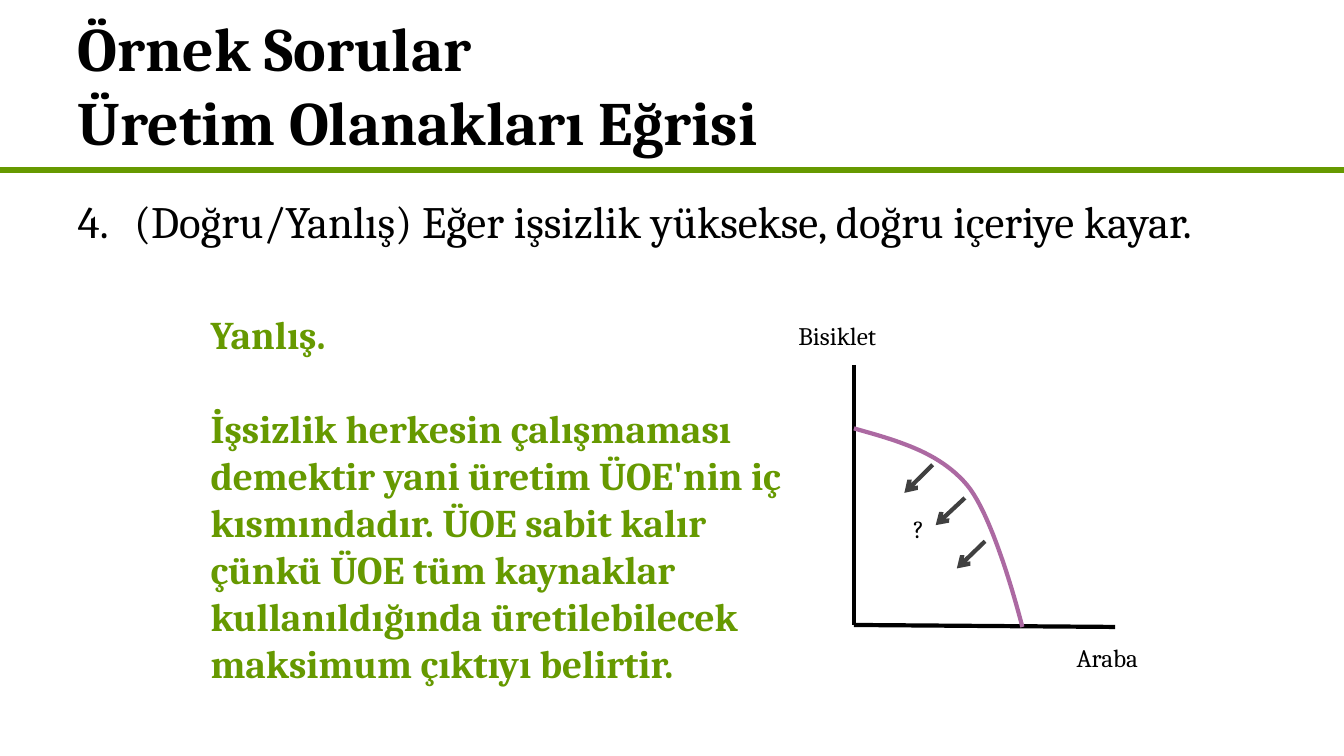
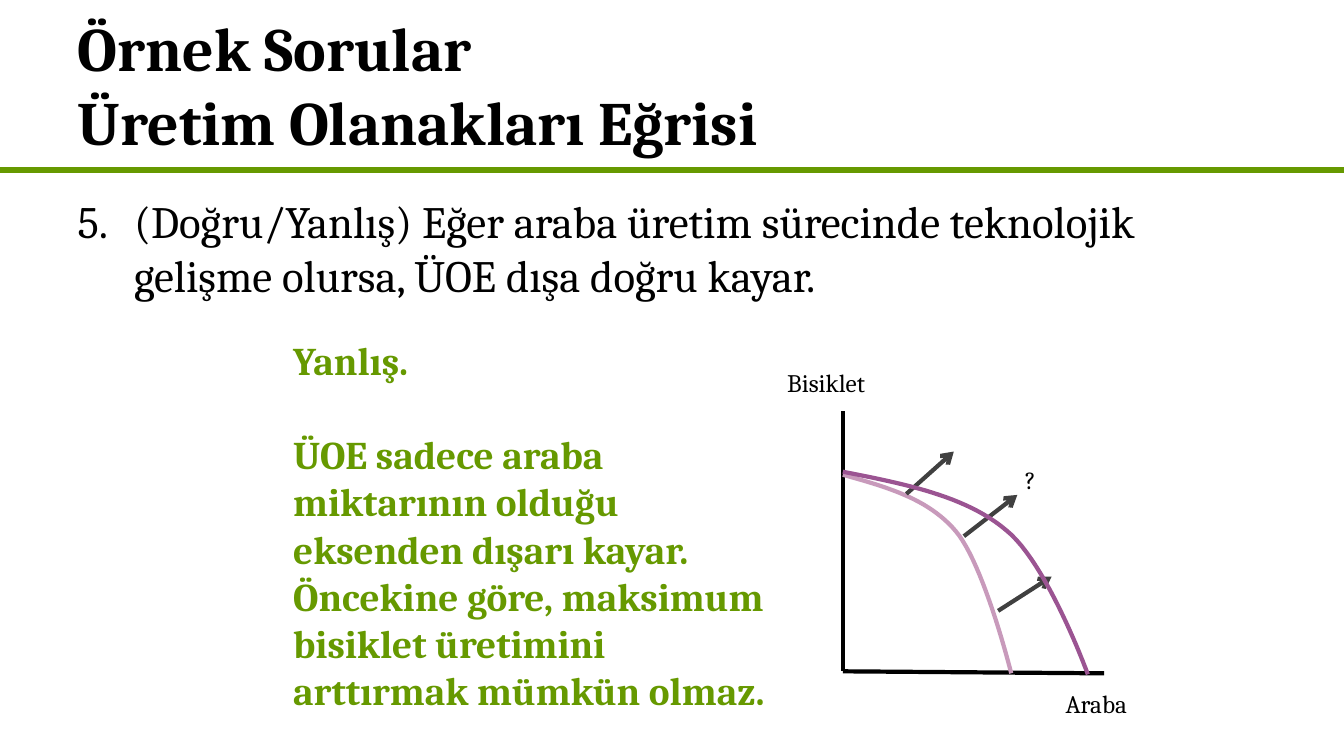
from lxml.etree import SubElement
from pptx import Presentation
from pptx.dml.color import RGBColor
from pptx.enum.shapes import MSO_CONNECTOR
from pptx.enum.text import MSO_ANCHOR, MSO_AUTO_SIZE, PP_ALIGN
from pptx.oxml.ns import qn
from pptx.util import Inches, Pt

# Shared look
FONT = "Cambria"
BLACK, GREEN, GRAY = "000000", "669900", "404040"
PLUM, PALE, DARK = "AC69A2", "C89ABB", "9B5492"
TITLE = "Örnek Sorular\nÜretim Olanakları Eğrisi"
FRAMES = {0: (0.67, 0, 12, 1.67), 1: (0.67, 1.87, 12, 5.35)}

# Graph parts, measured in inches from the graph's origin
AXES = [((0, -2.58), (0, 0)), ((2.59, 0.02), (0, 0))]
NAMES = [("Bisiklet", -0.65, -3.07, 1.4), ("Araba", 2.11, 0.12, 1.05)]
INNER = [(0, -1.95), (0.42, -1.83), (0.84, -1.72), (1.12, -1.39),
         (1.4, -1.06), (1.67, 0.02), (1.67, 0.02)]
OUTER = [(0, -1.98), (0.61, -1.86), (1.22, -1.74), (1.62, -1.4),
         (2.03, -1.07), (2.43, 0.03), (2.43, 0.03)]

SLIDES = [
    dict(
        num=4,
        ask="(Doğru/Yanlış) Eğer işsizlik yüksekse, doğru içeriye kayar.",
        reply=["Yanlış.",
               "İşsizlik herkesin çalışmaması demektir yani üretim ÜOE'nin iç "
               "kısmındadır. ÜOE sabit kalır çünkü ÜOE tüm kaynaklar "
               "kullanıldığında üretilebilecek maksimum çıktıyı belirtir."],
        box=(1.99, 3.03, 5.92, 3.87),
        origin=(8.47, 6.2),
        under=[(INNER, PLUM)],
        arrows=[((1.1, -1.26), (0.81, -0.99)),
                ((1.3, -0.83), (1.02, -0.56)),
                ((0.78, -1.59), (0.5, -1.31))],
        over=[],
        mark=(0.49, -1.16),
    ),
    dict(
        num=5,
        ask="(Doğru/Yanlış) Eğer araba üretim sürecinde teknolojik gelişme "
            "olursa, ÜOE dışa doğru kayar.",
        reply=["Yanlış.",
               "ÜOE sadece araba miktarının olduğu eksenden dışarı kayar. "
               "Öncekine göre, maksimum bisiklet üretimini arttırmak mümkün "
               "olmaz."],
        box=(2.81, 3.29, 5.09, 3.87),
        origin=(8.36, 6.66),
        under=[(INNER, PALE)],
        arrows=[((1.2, -1.34), (1.73, -1.75)),
                ((1.54, -0.6), (2.07, -0.94)),
                ((0.63, -1.76), (1.1, -2.18))],
        over=[(OUTER, DARK)],
        mark=(1.71, -2.1),
    ),
]


def paint(line, color, width):
    line.color.rgb = RGBColor.from_string(color)
    line.width = Pt(width)


def write(frame, *texts, size=18, color=BLACK, bold=False, gap=0,
          anchor=MSO_ANCHOR.TOP, fit=MSO_AUTO_SIZE.NONE):
    """Fill a text frame, one paragraph per text, gap points between them."""
    frame.word_wrap = True
    frame.auto_size = fit
    frame.vertical_anchor = anchor
    for i, text in enumerate(texts):
        par = frame.add_paragraph() if i else frame.paragraphs[0]
        par.text = text
        par.alignment = PP_ALIGN.LEFT
        if i:
            par.space_before = Pt(gap)
        for run in par.runs:
            font = run.font
            font.name, font.size, font.bold = FONT, Pt(size), bold
            font.color.rgb = RGBColor.from_string(color)


def number(par, start):
    par.space_before = Pt(6.4)
    props = par._p.get_or_add_pPr()
    props.set("marL", str(Inches(0.56)))
    props.set("indent", str(Inches(-0.56)))
    SubElement(props, qn("a:buAutoNum"), type="arabicPeriod",
               startAt=str(start))


def label(slide, box, *texts, **style):
    shape = slide.shapes.add_textbox(*map(Inches, box))
    write(shape.text_frame, *texts, fit=MSO_AUTO_SIZE.SHAPE_TO_FIT_TEXT,
          **style)


def rule(slide, start, end, color=BLACK, width=3, head=False):
    line = slide.shapes.add_connector(
        MSO_CONNECTOR.STRAIGHT, *map(Inches, (*start, *end)))
    paint(line.line, color, width)
    if head:
        SubElement(line.line._get_or_add_ln(), qn("a:tailEnd"), type="arrow")
    SubElement(line.element.spPr, qn("a:effectLst"))
    return line


def bezier(points, steps=24):
    """Points along one cubic segment."""
    for i in range(steps + 1):
        t = i / steps
        u = 1 - t
        parts = (u ** 3, 3 * u * u * t, 3 * u * t * t, t ** 3)
        yield tuple(sum(w * p[k] for w, p in zip(parts, points))
                    for k in (0, 1))


def curve(slide, points, color):
    """Draw two joined cubic segments as an open outline."""
    # The last listed point only repeats the end of the second segment
    knots = points[:3] + [points[3]] + points[4:]
    trail = list(bezier(knots[:4])) + list(bezier(knots[3:]))[1:]
    trail = [(Inches(x), Inches(y)) for x, y in trail]
    pen = slide.shapes.build_freeform(*trail[0])
    pen.add_line_segments(trail[1:], close=False)
    shape = pen.convert_to_shape()
    shape.shadow.inherit = False
    shape.fill.background()
    paint(shape.line, color, 3)


def graph(slide, data):
    ox, oy = data["origin"]

    def at(point):
        return ox + point[0], oy + point[1]

    def curves(items):
        for points, color in items:
            curve(slide, [at(p) for p in points], color)

    for start, end in AXES:
        rule(slide, at(start), at(end))
    for name, x, y, wide in NAMES:
        label(slide, (*at((x, y)), wide, 0.4), name)
    curves(data["under"])
    for start, end in data["arrows"]:
        rule(slide, at(start), at(end), GRAY, head=True)
    label(slide, (*at(data["mark"]), 0.48, 0.4), "?")
    curves(data["over"])


def main():
    deck = Presentation()
    deck.slide_width, deck.slide_height = Inches(13.33), Inches(7.5)

    # Shared layout: placeholder frames and the green rule
    layout = deck.slide_layouts[1]
    for hold in layout.placeholders:
        idx = hold.placeholder_format.idx
        if idx in FRAMES:
            hold.left, hold.top, hold.width, hold.height = map(
                Inches, FRAMES[idx])

    for i, data in enumerate(SLIDES):
        slide = deck.slides.add_slide(layout)
        if i == 0:
            band = rule(slide, (0, 1.69), (13.33, 1.69), GREEN, 4.5)
            layout.shapes.element.append(band.element)
        write(slide.shapes.title.text_frame, TITLE, size=44, bold=True,
              anchor=MSO_ANCHOR.MIDDLE)
        body = slide.placeholders[1].text_frame
        write(body, data["ask"], size=32)
        number(body.paragraphs[0], data["num"])
        graph(slide, data)
        label(slide, data["box"], *data["reply"], size=28, color=GREEN,
              bold=True, gap=33.6)

    deck.save("out.pptx")


if __name__ == "__main__":
    main()
